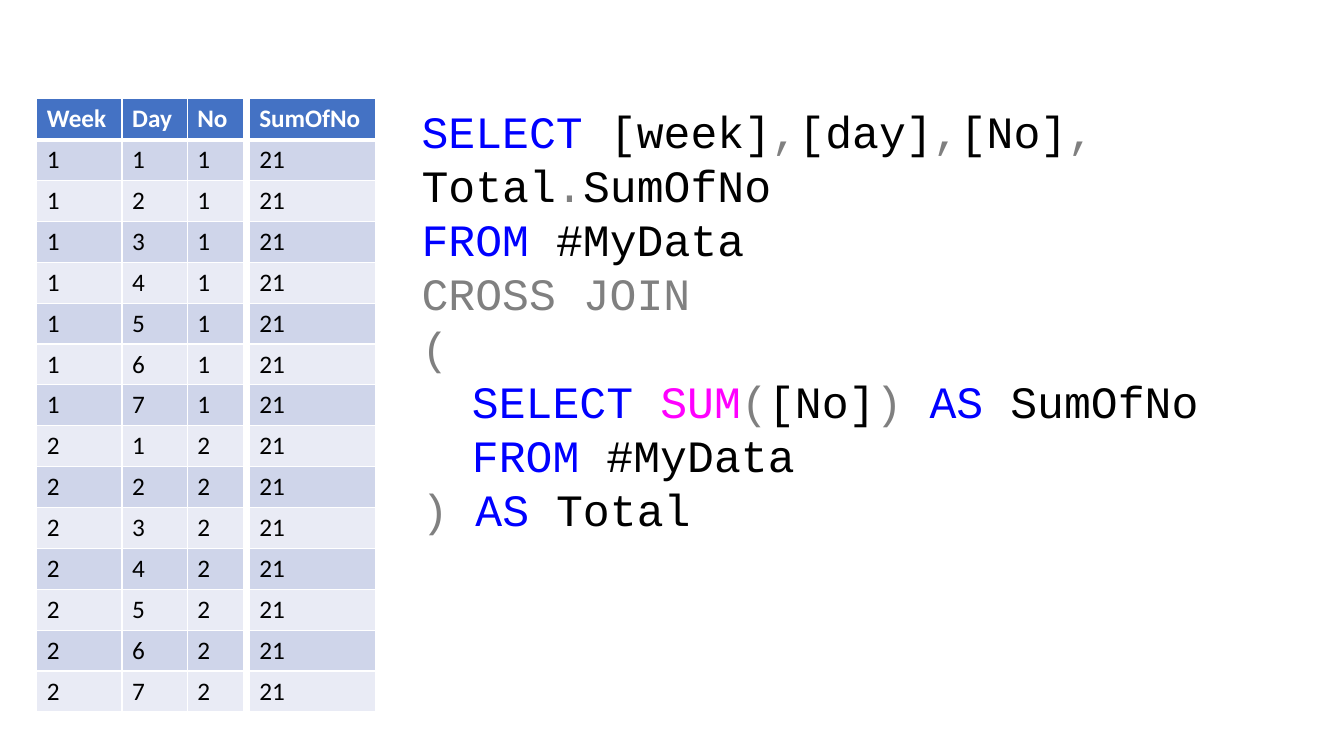
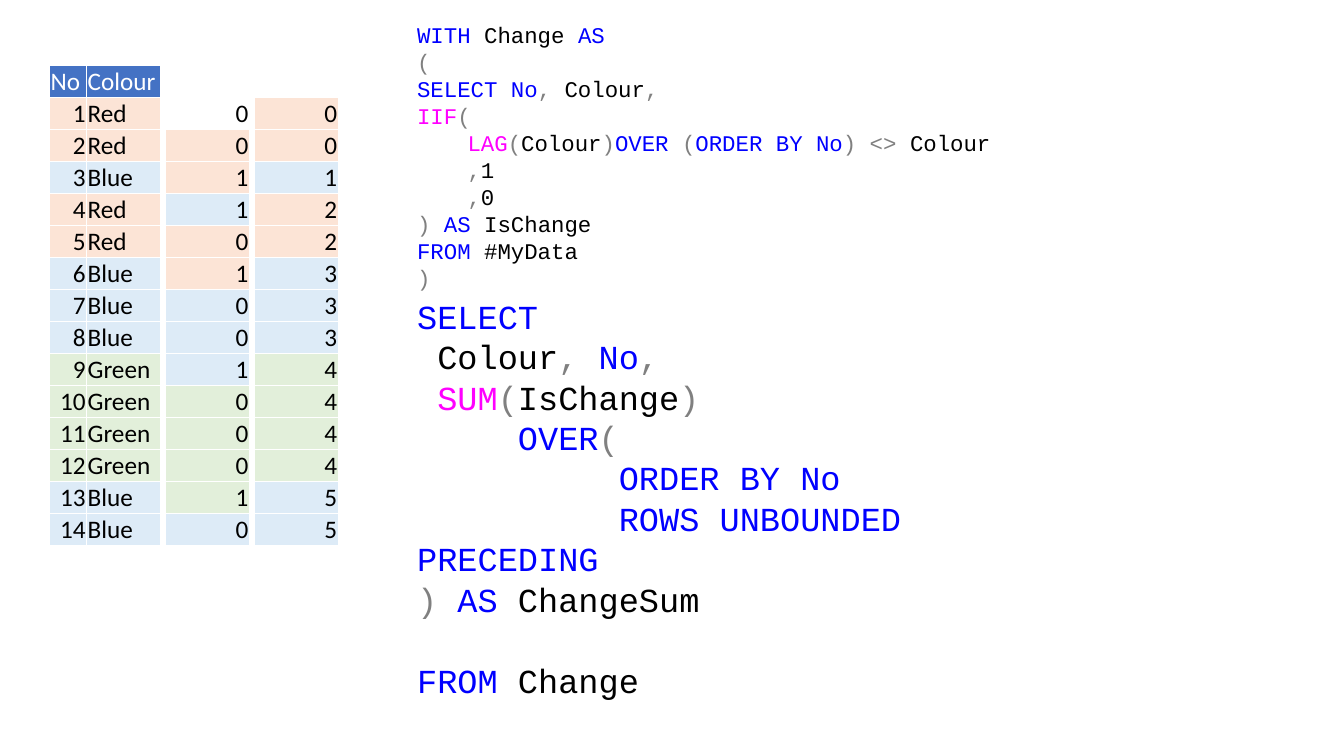
from itertools import accumulate

from lxml.etree import SubElement
from pptx import Presentation
from pptx.dml.color import RGBColor
from pptx.enum.text import MSO_ANCHOR, PP_ALIGN
from pptx.oxml import parse_xml
from pptx.oxml.ns import nsdecls, qn
from pptx.util import Pt

WHITE = RGBColor(0xFF, 0xFF, 0xFF)
BLACK = RGBColor(0x00, 0x00, 0x00)
BLUE = RGBColor(0x00, 0x00, 0xFF)
GREY = RGBColor(0x80, 0x80, 0x80)
PINK = RGBColor(0xFF, 0x00, 0xFF)
HEADER = RGBColor(0x44, 0x72, 0xC4)
BANDS = (RGBColor(0xCF, 0xD5, 0xEA), RGBColor(0xE9, 0xEB, 0xF5))
TINTS = {
    "Red": RGBColor(0xFC, 0xE4, 0xD6),
    "Blue": RGBColor(0xDD, 0xEB, 0xF7),
    "Green": RGBColor(0xE2, 0xEF, 0xDA),
}
TABLE_FONT = "Calibri"
CODE_FONT = "Courier New"
LINE_PITCH = 1.205
CODE_INDENT = 36

COLOURS = (["Red"] * 2 + ["Blue"] + ["Red"] * 2 + ["Blue"] * 3
           + ["Green"] * 4 + ["Blue"] * 2)

TOTAL_QUERY = [
    (0, [(BLUE, "SELECT"), (BLACK, " [week]"), (GREY, ","), (BLACK, "[day]"),
         (GREY, ","), (BLACK, "[No]"), (GREY, ",")]),
    (0, [(BLACK, "Total"), (GREY, "."), (BLACK, "SumOfNo")]),
    (0, [(BLUE, "FROM"), (BLACK, " #MyData")]),
    (0, [(GREY, "CROSS JOIN")]),
    (0, [(GREY, "(")]),
    (1, [(BLUE, "SELECT "), (PINK, "SUM"), (GREY, "("), (BLACK, "[No]"),
         (GREY, ") "), (BLUE, "AS"), (BLACK, " SumOfNo")]),
    (1, [(BLUE, "FROM"), (BLACK, " #MyData")]),
    (0, [(GREY, ") "), (BLUE, "AS"), (BLACK, " Total")]),
]

CHANGE_QUERY = [
    (0, [(BLUE, "WITH"), (BLACK, " Change "), (BLUE, "AS")]),
    (0, [(GREY, "(")]),
    (0, [(BLUE, "SELECT No"), (GREY, ","), (BLACK, " Colour"), (GREY, ",")]),
    (0, [(PINK, "IIF"), (GREY, "(")]),
    (1, [(PINK, "LAG"), (GREY, "("), (BLACK, "Colour"), (GREY, ")"),
         (BLUE, "OVER "), (GREY, "("), (BLUE, "ORDER BY No"),
         (GREY, ") <> "), (BLACK, "Colour")]),
    (1, [(GREY, ","), (BLACK, "1")]),
    (1, [(GREY, ","), (BLACK, "0")]),
    (0, [(GREY, ") "), (BLUE, "AS "), (BLACK, "IsChange")]),
    (0, [(BLUE, "FROM"), (BLACK, " #MyData")]),
    (0, [(GREY, ")")]),
]

SUM_QUERY = [
    (0, [(BLUE, "SELECT")]),
    (0, [(BLACK, " Colour"), (GREY, ", "), (BLUE, "No"), (GREY, ",")]),
    (0, [(BLACK, " "), (PINK, "SUM"), (GREY, "("), (BLACK, "IsChange"),
         (GREY, ")")]),
    (0, [(BLUE, "     OVER"), (GREY, "(")]),
    (0, [(BLUE, "          ORDER BY No")]),
    (0, [(BLUE, "          ROWS UNBOUNDED PRECEDING")]),
    (0, [(GREY, ") "), (BLUE, "AS "), (BLACK, "ChangeSum")]),
    (0, [(BLUE, "FROM"), (BLACK, " Change")]),
]


def add_code(s, left, top, width, height, size, lines):
    tf = s.shapes.add_textbox(Pt(left), Pt(top), Pt(width), Pt(height)).text_frame
    tf.word_wrap = True
    for i, (level, tokens) in enumerate(lines):
        p = tf.paragraphs[0] if i == 0 else tf.add_paragraph()
        p.line_spacing = Pt(size * LINE_PITCH)
        if level:
            p.level = level
            p._p.get_or_add_pPr().set("marL", str(Pt(CODE_INDENT * level)))
        for color, text in tokens:
            r = p.add_run()
            r.text = text
            r.font.name = CODE_FONT
            r.font.size = Pt(size)
            r.font.color.rgb = color
    return tf


def set_borders(cell, width, top=None, bottom=None):
    tcPr = cell._tc.get_or_add_tcPr()
    widths = {"lnL": width, "lnR": width,
              "lnT": top or width, "lnB": bottom or width}
    for i, (tag, points) in enumerate(widths.items()):
        line = parse_xml(f'<a:{tag} {nsdecls("a")} w="{Pt(points)}"/>')
        fill = SubElement(line, qn("a:solidFill"))
        SubElement(fill, qn("a:srgbClr")).set("val", str(WHITE))
        tcPr.insert(i, line)


def add_grid(s, left, top, widths, row_height, rows):
    table = s.shapes.add_table(len(rows), len(widths), Pt(left), Pt(top),
                               Pt(sum(widths)), Pt(row_height * len(rows))).table
    table.horz_banding = False
    for column, width in zip(table.columns, widths):
        column.width = Pt(width)
    for i, values in enumerate(rows):
        table.rows[i].height = Pt(row_height)
        for j, value in enumerate(values):
            table.cell(i, j).text = str(value)
    return table


def format_cell(cell, fill, color=BLACK, bold=False):
    cell.fill.solid()
    cell.fill.fore_color.rgb = fill
    for r in cell.text_frame.paragraphs[0].runs:
        r.font.name = TABLE_FONT
        r.font.size = Pt(18)
        r.font.bold = bold
        r.font.color.rgb = color


def add_banded_table(s, left, widths, rows):
    table = add_grid(s, left, 70.56, widths, 29.2, rows)
    for i in range(len(rows)):
        for j in range(len(widths)):
            cell = table.cell(i, j)
            if i == 0:
                format_cell(cell, HEADER, WHITE, bold=True)
            else:
                format_cell(cell, BANDS[(i - 1) % 2])
            set_borders(cell, 1, top=3 if i == 1 else None,
                        bottom=3 if i == 0 else None)


def add_tinted_table(s, left, top, widths, rows, fills):
    table = add_grid(s, left, top, widths, 22.85, rows)
    for i, (values, fill) in enumerate(zip(rows, fills)):
        for j, value in enumerate(values):
            cell = table.cell(i, j)
            cell.margin_left = cell.margin_right = cell.margin_top = Pt(0.75)
            cell.margin_bottom = 0
            cell.vertical_anchor = MSO_ANCHOR.BOTTOM
            if isinstance(value, int):
                cell.text_frame.paragraphs[0].alignment = PP_ALIGN.RIGHT
            format_cell(cell, fill, WHITE if fill == HEADER else BLACK)
            set_borders(cell, 0.5)


def add_total_slide(prs):
    s = prs.slides.add_slide(prs.slide_layouts[6])
    data = [(week, day, week) for week in (1, 2) for day in range(1, 8)]
    total = sum(no for _, _, no in data)
    add_banded_table(s, 26.3, [60.9, 46.6, 40.2], [("Week", "Day", "No")] + data)
    add_banded_table(s, 178, [90], [("SumOfNo",)] + [(total,)] * len(data))
    add_code(s, 294, 70.56, 644.4, 317.5, 32, TOTAL_QUERY)


def add_change_slide(prs):
    s = prs.slides.add_slide(prs.slide_layouts[6])
    previous = COLOURS[:1] + COLOURS[:-1]
    changes = [int(now != before) for now, before in zip(COLOURS, previous)]
    tints = [TINTS[colour] for colour in COLOURS]
    add_tinted_table(s, 35.5, 46.8, [26.4, 52.4],
                     [("No", "Colour")] + list(enumerate(COLOURS, 1)),
                     [HEADER] + tints)
    add_tinted_table(s, 118.3, 46.8, [59.8],
                     [("",)] + [(change,) for change in changes],
                     [WHITE, WHITE] + tints[:-1])
    add_tinted_table(s, 181.7, 69.4, [59.8],
                     [(total,) for total in accumulate(changes)], tints)
    add_code(s, 290.9, 11.5, 480.2, 200.9, 16, CHANGE_QUERY)
    tf = add_code(s, 290.9, 207.4, 480.2, 269.3, 24, SUM_QUERY)
    tf.paragraphs[-1].space_before = Pt(24 * LINE_PITCH)


def main():
    prs = Presentation()
    prs.slide_width = Pt(960)
    prs.slide_height = Pt(540)
    add_total_slide(prs)
    add_change_slide(prs)
    prs.save("out.pptx")


if __name__ == "__main__":
    main()
